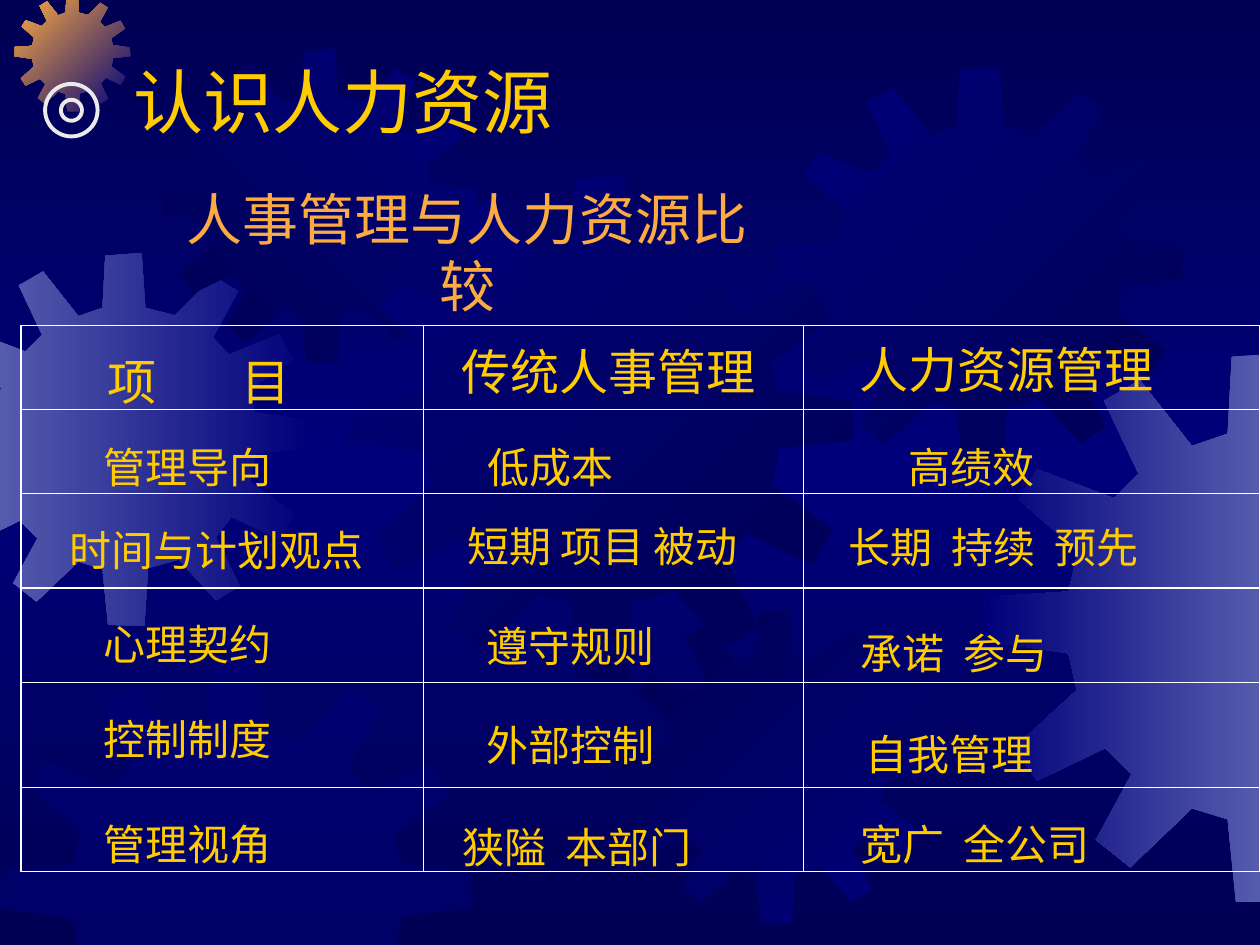
import copy

import lxml.etree
import pptx
import pptx.dml.color
import pptx.enum.shapes
import pptx.enum.text
import pptx.oxml.ns
import pptx.util

CELL = pptx.util.Inches(1) // 12
COLUMNS, ROWS = 120, 90
NAVY, BLUE, HAZE = "000054", "00007A", "555BAD"
GOLD, ORANGE, WHITE, SILVER = "FFCC00", "FCAB40", "FFFFFF", "EAEAEA"
FONT = "Times New Roman"

GEAR_SPAN = 401
GEAR_OUTLINE = [
    (255, 67), (223, 59), (219, 0), (180, 3), (177, 59), (151, 68), (113, 20), (87, 35),
    (112, 88), (94, 106), (38, 85), (25, 107), (68, 145), (61, 174), (1, 178), (0, 210),
    (61, 219), (67, 246), (22, 287), (38, 312), (88, 288), (107, 307), (81, 355), (106, 375),
    (151, 332), (177, 340), (183, 400), (222, 401), (226, 339), (259, 330), (299, 374), (325, 358),
    (299, 306), (316, 284), (368, 309), (384, 281), (336, 246), (342, 216), (401, 210), (400, 180),
    (341, 171), (335, 148), (383, 114), (367, 87), (313, 109), (296, 91), (323, 41), (297, 25),
]
GEARS = [
    (-5.9, 24.1, 35.5, (BLUE, HAZE), 180),
    (1.4, -0.4, 11, (BLUE, ORANGE), 225),
    (15.6, 4.7, 29.8, (BLUE, NAVY), 135),
    (33.2, 16.7, 48.1, (NAVY, BLUE), 225),
    (0, 63, 44.9, (BLUE,), 0),
    (58.9, 58.1, 29.8, (BLUE, NAVY), 225),
    (74.2, 6.4, 38.4, (NAVY, BLUE), 225),
    (93.8, 33.6, 52.4, (HAZE, BLUE), 180),
]

COLUMN_WIDTHS = [38.3, 36.2, 43.5]
ROW_HEIGHTS = [8, 8, 9, 9, 10, 8]
COMPARISON = [
    [("项\t目", 8.2, 1.7), ("传统人事管理", 3.7, 0.8), ("人力资源管理", 5.4, 0.6)],
    [("管理导向", 7.9, 2.4), ("低成本", 6.1, 2.4), ("高绩效", 10, 2.4)],
    [("时间与计划观点", 4.6, 2.3), ("短期 项目 被动", 4.2, 1.9), ("长期\t持续\t预先", 4.3, 2)],
    [("心理契约", 7.9, 2.3), ("遵守规则", 6, 2.5), ("承诺\t参与", 5.5, 3.1)],
    [("控制制度", 7.9, 2.3), ("外部控制", 6, 2.9), ("自我管理", 5.9, 3.7)],
    [("管理视角", 7.9, 2.3), ("狭隘\t本部门", 3.8, 2.6), ("宽广\t全公司", 5.5, 2.3)],
]


def grid(*cells):
    """Turn grid cells into slide lengths."""
    return [pptx.util.Emu(round(cell * CELL)) for cell in cells]


def colour(code):
    """Read a hex string as a colour."""
    return pptx.dml.color.RGBColor.from_string(code)


def add_element(parent, tag, **attributes):
    """Append a drawing element to its parent."""
    return lxml.etree.SubElement(parent, pptx.oxml.ns.qn(tag), attributes)


def paint_gradient(element, fill, codes, angle):
    """Fill with evenly spaced colours along a clockwise angle."""
    fill.gradient()
    fill.gradient_angle = (360 - angle) % 360
    stops = next(element.iter(pptx.oxml.ns.qn("a:gsLst")))
    for _ in codes[2:]:
        stops.append(copy.deepcopy(stops[0]))
    for index, (stop, code) in enumerate(zip(fill.gradient_stops, codes)):
        stop.color.rgb = colour(code)
        stop.position = index / (len(codes) - 1)


def clip(points, axis, limit, sign):
    """Cut a polygon at one edge of the page."""
    kept = []
    for start, end in zip(points, points[1:] + points[:1]):
        before, after = (sign * (point[axis] - limit) for point in (start, end))
        if before >= 0:
            kept.append(start)
        if before * after < 0:
            share = before / (before - after)
            kept.append(tuple(a + share * (b - a) for a, b in zip(start, end)))
    return kept


def add_gear(page, left, top, size, codes, angle):
    """Draw a gear in a square box, cut at the page edges."""
    points = [(left + x * size / GEAR_SPAN, top + y * size / GEAR_SPAN) for x, y in GEAR_OUTLINE]
    for axis, limit, sign in ((0, 0, 1), (1, 0, 1), (0, COLUMNS, -1), (1, ROWS, -1)):
        points = clip(points, axis, limit, sign)
    corners = [grid(*point) for point in points]
    builder = page.shapes.build_freeform(*corners[0])
    builder.add_line_segments(corners[1:], close=True)
    gear = builder.convert_to_shape()
    gear.shadow.inherit = False
    gear.line.fill.background()
    if len(codes) > 1:
        paint_gradient(gear.element, gear.fill, codes, angle)
    else:
        gear.fill.solid()
        gear.fill.fore_color.rgb = colour(codes[0])
        tint = next(gear.element.spPr.iter(pptx.oxml.ns.qn("a:srgbClr")))
        add_element(tint, "a:alpha", val="50000")


def style_text(para, size, code):
    """Set font, size and colour of a paragraph's runs."""
    for span in para.runs:
        span.font.name = FONT
        span.font.size = pptx.util.Pt(size)
        span.font.color.rgb = colour(code)


def add_heading(page, box, text, size, code, centred=False):
    """Place a one-line heading in its box."""
    heading = page.shapes.add_textbox(*grid(*box))
    heading.text_frame.word_wrap = not centred
    para = heading.text_frame.paragraphs[0]
    para.text = text
    if centred:
        para.alignment = pptx.enum.text.PP_ALIGN.CENTER
    style_text(para, size, code)


def add_rings(page, centre_x, centre_y, diameters):
    """Draw concentric rings about a centre."""
    for diameter in diameters:
        box = grid(centre_x - diameter / 2, centre_y - diameter / 2, diameter, diameter)
        ring = page.shapes.add_shape(pptx.enum.shapes.MSO_SHAPE.OVAL, *box)
        ring.shadow.inherit = False
        ring.fill.background()
        ring.line.color.rgb = colour(SILVER)
        ring.line.width = pptx.util.Pt(2.25)


def add_borders(cell):
    """Give a cell thin white borders and no fill."""
    properties = cell._tc.get_or_add_tcPr()
    for side in ("a:lnL", "a:lnR", "a:lnT", "a:lnB"):
        line = add_element(properties, side, w=str(pptx.util.Pt(0.75)))
        add_element(add_element(line, "a:solidFill"), "a:srgbClr", val=WHITE)
    cell.fill.background()


def fill_cell(cell, text, left, top, size, stops):
    """Write a cell's text at an offset from its corner."""
    cell.margin_left, cell.margin_top = grid(left, top)
    cell.margin_right = cell.margin_bottom = 0
    para = cell.text_frame.paragraphs[0]
    para.text = text
    if "\t" in text:
        tabs = add_element(para._p.get_or_add_pPr(), "a:tabLst")
        for stop in grid(*stops):
            add_element(tabs, "a:tab", pos=str(stop), algn="l")
    style_text(para, size, GOLD)


def add_comparison(page, left, top):
    """Build the comparison table from its top left corner."""
    box = grid(left, top, sum(COLUMN_WIDTHS), sum(ROW_HEIGHTS))
    table = page.shapes.add_table(len(ROW_HEIGHTS), len(COLUMN_WIDTHS), *box).table
    table.first_row = table.horz_banding = False
    for column, width in zip(table.columns, grid(*COLUMN_WIDTHS)):
        column.width = width
    for row, height in zip(table.rows, grid(*ROW_HEIGHTS)):
        row.height = height
    for index, entries in enumerate(COMPARISON):
        size, stops = (24, (9.8, 19.6)) if index else (28, (12.8,))
        for cell, entry in zip(table.rows[index].cells, entries):
            add_borders(cell)
            fill_cell(cell, *entry, size, stops)


def main():
    """Build and save the slide."""
    deck = pptx.Presentation()
    deck.slide_width, deck.slide_height = grid(COLUMNS, ROWS)
    page = deck.slides.add_slide(deck.slide_layouts[6])
    paint_gradient(page.element, page.background.fill, (NAVY, BLUE, NAVY), 90)
    for gear in GEARS:
        add_gear(page, *gear)
    add_heading(page, (11.5, 5, 57.5, 9.2), "认识人力资源", 40, GOLD)
    add_rings(page, 6.8, 10.5, (5, 2))
    add_comparison(page, 2, 31)
    add_heading(page, (14, 17, 61, 7.7), "人事管理与人力资源比较", 32, ORANGE, centred=True)
    deck.save("out.pptx")


if __name__ == "__main__":
    main()
